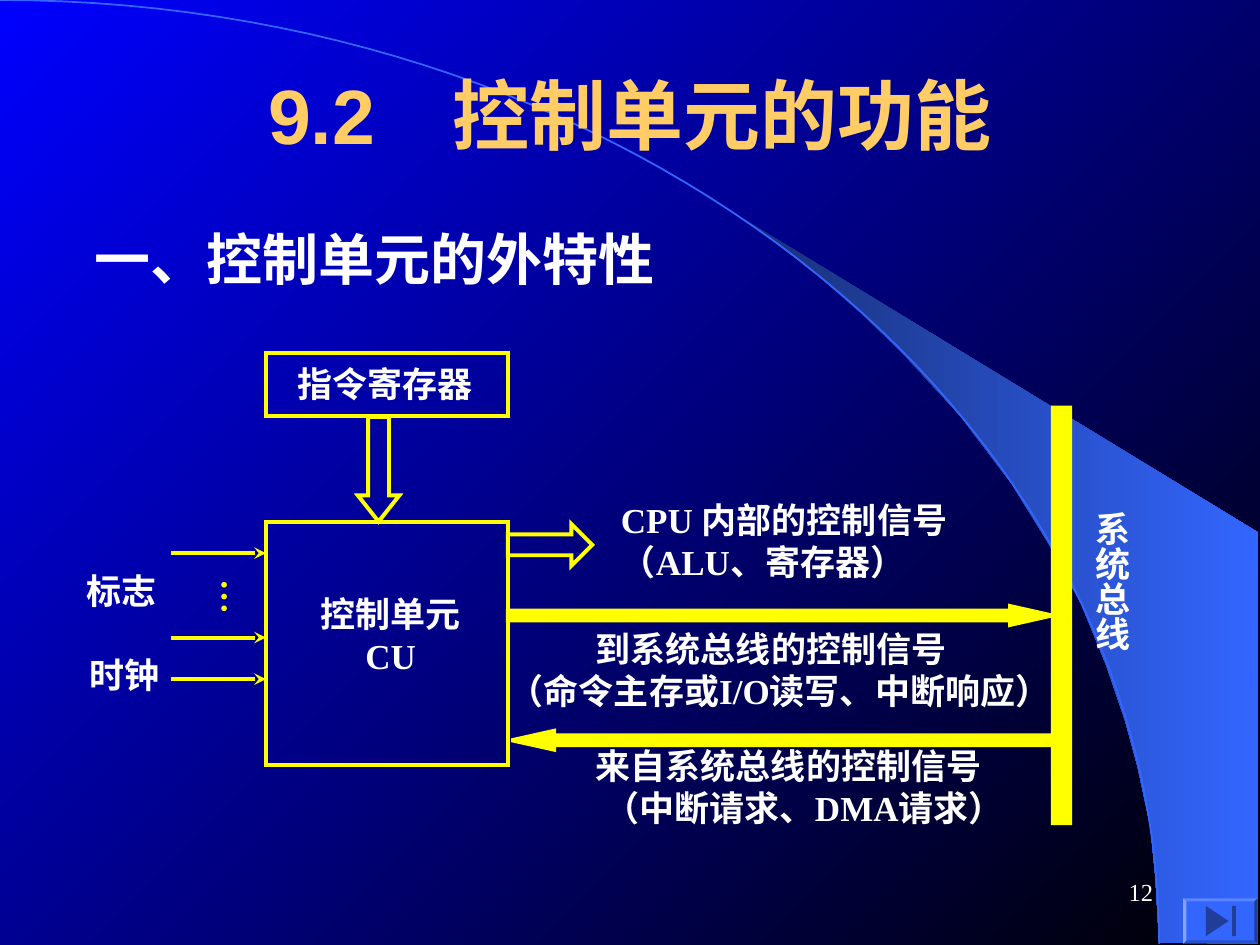
from dataclasses import dataclass
from pptx import Presentation
from pptx.dml.color import RGBColor
from pptx.enum.shapes import MSO_CONNECTOR, MSO_SHAPE
from pptx.enum.text import MSO_ANCHOR, MSO_AUTO_SIZE, PP_ALIGN
from pptx.oxml.ns import qn
from pptx.util import Inches, Pt
from lxml.etree import SubElement

# Grid of 100 columns by 75 rows
COLS, ROWS = 100, 75
WIDE, HIGH = Inches(10), Inches(7.5)
YELLOW, WHITE, BLUE, NAVY, GOLD = "FFFF00", "FFFFFF", "3366FF", "1F3D99", "FFCC66"
SERIF = "Times New Roman"


@dataclass
class Box:
    col: float
    row: float
    cols: float
    rows: float


@dataclass
class Part:
    kind: MSO_SHAPE
    box: Box
    fill: str = ""
    line: str = ""
    adjust: tuple = ()
    turn: int = 0


@dataclass
class Label:
    lines: tuple
    box: Box
    size: int = 20
    color: str = WHITE
    font: str = SERIF
    bold: bool = True
    align: PP_ALIGN = PP_ALIGN.LEFT
    middle: bool = False
    wrap: bool = False
    upright: bool = False
    inset: tuple = (1, 0.5)
    indents: tuple = (0, 0)


def x(col: float) -> int:
    return round(WIDE * col / COLS)


def y(row: float) -> int:
    return round(HIGH * row / ROWS)


def place(box: Box) -> tuple:
    return x(box.col), y(box.row), x(box.cols), y(box.rows)


def tint(code: str) -> RGBColor:
    return RGBColor.from_string(code)


def blend(fill, first: str, last: str, angle: int) -> None:
    fill.gradient()
    fill.gradient_angle = angle
    for stop, code in zip(fill.gradient_stops, (first, last)):
        stop.color.rgb = tint(code)


def paint(shape, fill: str, line: str, width: float = 2.25) -> None:
    shape.shadow.inherit = False
    if fill:
        shape.fill.solid()
        shape.fill.fore_color.rgb = tint(fill)
    else:
        shape.fill.background()
    if line:
        shape.line.color.rgb = tint(line)
        shape.line.width = Pt(width)
        # Sharp corners
        SubElement(shape.line._get_or_add_ln(), qn("a:miter"), lim="800000")
    else:
        shape.line.fill.background()


def trace(slide, points: list, close: bool):
    spots = [(x(col), y(row)) for col, row in points]
    pen = slide.shapes.build_freeform(*spots[0])
    pen.add_line_segments(spots[1:], close=close)
    return pen.convert_to_shape()


def draw(slide, part: Part) -> None:
    shape = slide.shapes.add_shape(part.kind, *place(part.box))
    for spot, value in enumerate(part.adjust):
        shape.adjustments[spot] = value
    shape.rotation = part.turn
    paint(shape, part.fill, part.line)


def write(slide, label: Label) -> None:
    frame = slide.shapes.add_textbox(*place(label.box)).text_frame
    frame.word_wrap = label.wrap
    across, down = label.inset
    frame.margin_left = frame.margin_right = x(across)
    frame.margin_top = frame.margin_bottom = y(down)
    if label.middle:
        frame.vertical_anchor = MSO_ANCHOR.MIDDLE
    else:
        frame.auto_size = MSO_AUTO_SIZE.SHAPE_TO_FIT_TEXT
    if label.upright:
        frame._txBody.bodyPr.set("vert", "eaVert")
    frame.text = "\n".join(label.lines)
    for para, indent in zip(frame.paragraphs, label.indents):
        para.alignment = label.align
        if indent:
            para._p.get_or_add_pPr().set("marL", str(x(indent)))
        font = para.font
        font.name, font.size, font.bold = label.font, Pt(label.size), label.bold
        font.color.rgb = tint(label.color)


def signal(slide, row: float) -> None:
    wire = slide.shapes.add_connector(
        MSO_CONNECTOR.STRAIGHT, x(13.6), y(row), x(21.1), y(row))
    wire.line.color.rgb = tint(YELLOW)
    wire.line.width = Pt(2.25)
    SubElement(wire.line._get_or_add_ln(), qn("a:tailEnd"), type="stealth")
    SubElement(wire._element.spPr, qn("a:effectLst"))


def curve(steps: int = 60) -> list:
    """Points of the Bezier arc from the top left to the bottom edge."""
    ends = ((0, 0), (50.8, 0), (92, 33.5), (92, 74.9))
    points = []
    for step in range(steps + 1):
        t = step / steps
        parts = ((1 - t) ** 3, 3 * t * (1 - t) ** 2, 3 * t * t * (1 - t), t ** 3)
        points.append(tuple(sum(w * end[axis] for w, end in zip(parts, ends))
                            for axis in (0, 1)))
    return points


SWEEP = [(92, 74.8), (99.9, 74.9), (99.9, 42.3), (58.9, 17.3), (62.4, 19.9),
         (65.3, 22.2), (68.5, 25), (71.6, 28), (76.2, 33), (80.3, 38.4),
         (83.2, 43.1), (85.8, 47.9), (87.8, 52.8), (89.3, 57.2), (90.3, 60.9),
         (91.3, 65.6), (91.7, 69.6)]

PARTS = [
    # Register, control unit and the hollow arrows
    Part(MSO_SHAPE.RECTANGLE, Box(21.1, 28, 19.2, 5), line=YELLOW),
    Part(MSO_SHAPE.RECTANGLE, Box(21.1, 41.4, 19.2, 19.3), line=YELLOW),
    Part(MSO_SHAPE.DOWN_ARROW, Box(28.4, 33.1, 3.3, 8.3), "", YELLOW, (0.5, 0.63)),
    Part(MSO_SHAPE.RIGHT_ARROW, Box(40.3, 41.6, 6.7, 3.3), "", YELLOW, (0.5, 0.5)),
    # Solid arrows to and from the bus, then the bus
    Part(MSO_SHAPE.RIGHT_ARROW, Box(40.3, 48.1, 43.2, 1.5), YELLOW, YELLOW, (0.52, 2.22)),
    Part(MSO_SHAPE.RIGHT_ARROW, Box(40.6, 58, 43.3, 1.5), YELLOW, YELLOW, (0.52, 2.25), 180),
    Part(MSO_SHAPE.RECTANGLE, Box(83.4, 32.2, 1.7, 33.3), YELLOW),
    # Button with its play-to-end mark
    Part(MSO_SHAPE.BEVEL, Box(93.9, 71.3, 5.9, 3.6), BLUE, adjust=(0.07,)),
    Part(MSO_SHAPE.ISOSCELES_TRIANGLE, Box(95.4, 72.2, 2.4, 1.8), NAVY, turn=90),
    Part(MSO_SHAPE.RECTANGLE, Box(97.8, 71.9, 0.3, 2.4), NAVY),
]

LABELS = [
    Label(("9.2　控制单元的功能",), Box(7.5, 2.8, 85, 12.5), 44, GOLD, "Arial",
          align=PP_ALIGN.CENTER, middle=True, wrap=True),
    Label(("一、控制单元的外特性",), Box(7.5, 18.1, 47.2, 4.7), 32,
          middle=True, inset=(0, 0)),
    Label(("指令寄存器",), Box(22.6, 28.3, 15.9, 4.4)),
    Label(("控制单元", "CU"), Box(24.4, 46.5, 13.2, 7.7), align=PP_ALIGN.CENTER),
    Label(("…",), Box(15.6, 45, 5.3, 3.8), color=YELLOW, upright=True, inset=(0.5, 1)),
    Label(("时钟",), Box(6.1, 51.4, 8, 4.4)),
    Label(("标志",), Box(5.9, 44.7, 8, 4.4)),
    Label(("CPU 内部的控制信号", "（ALU、寄存器）"), Box(48.3, 39.1, 30, 7.7)),
    Label(("到系统总线的控制信号", "（命令主存或I/O读写、中断响应）"),
          Box(39.4, 49.3, 46.3, 7.7), indents=(6.9, 0)),
    Label(("来自系统总线的控制信号", "（中断请求、DMA请求）"),
          Box(46.3, 58.6, 35.7, 7.7), indents=(0, 0.7)),
    Label(("系统总线",), Box(85.1, 39.6, 5.3, 12.2), upright=True, inset=(0.5, 1)),
    Label(("12",), Box(71.7, 68.3, 20.8, 5), 14, bold=False,
          align=PP_ALIGN.RIGHT, middle=True, wrap=True),
]


def main() -> None:
    deck = Presentation()
    deck.slide_width, deck.slide_height = WIDE, HIGH
    slide = deck.slides.add_slide(deck.slide_layouts[6])

    # Backdrop
    blend(slide.background.fill, "0000FF", "000000", 315)
    sweep = trace(slide, SWEEP, True)
    paint(sweep, BLUE, "")
    blend(sweep.fill, "182F76", BLUE, 0)
    paint(trace(slide, curve(), False), "", BLUE, 1)

    # Diagram
    for part in PARTS:
        draw(slide, part)
    for row in (43.9, 50.6, 53.9):
        signal(slide, row)
    for label in LABELS:
        write(slide, label)
    deck.save("out.pptx")


if __name__ == "__main__":
    main()
